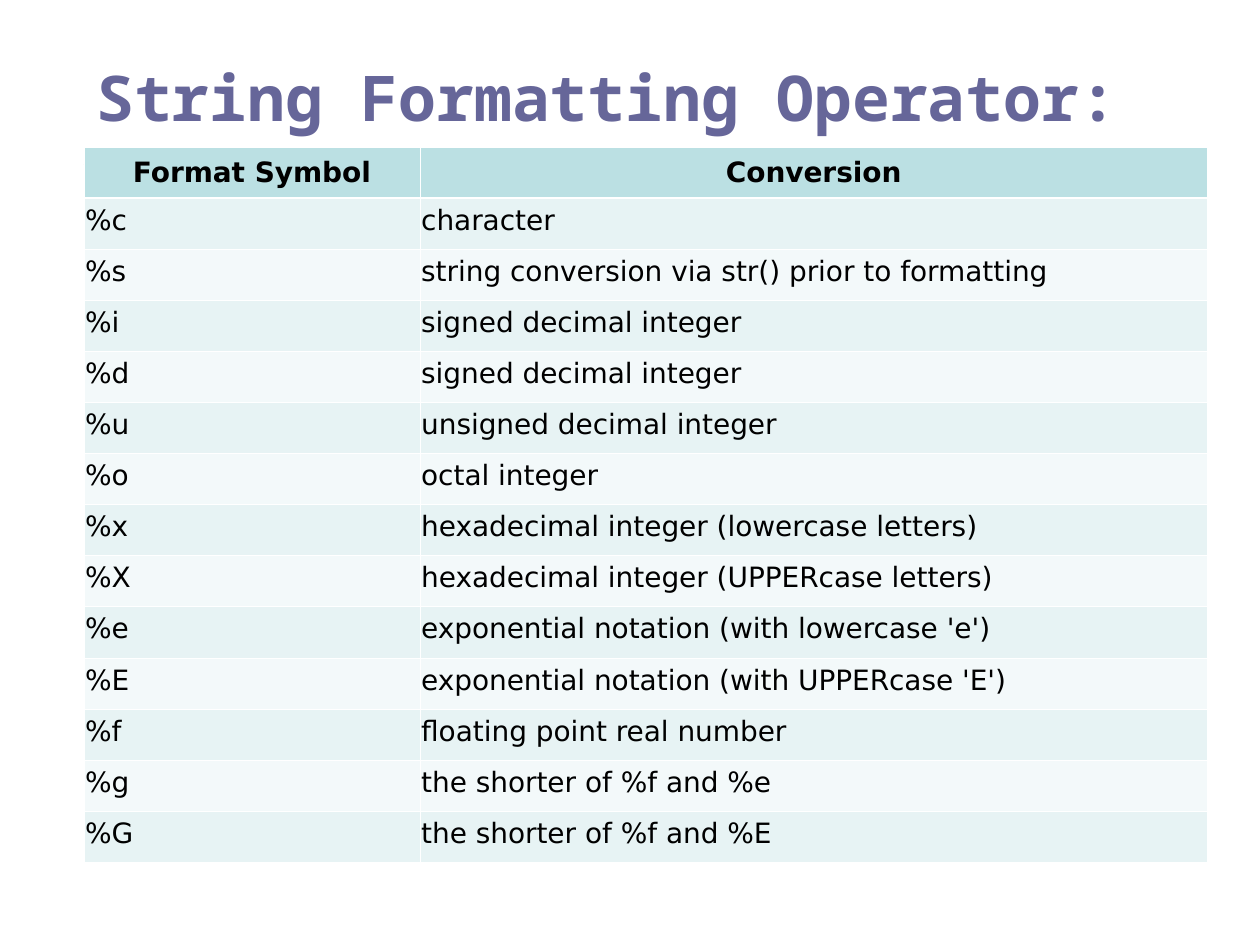
from lxml.etree import SubElement
from pptx import Presentation
from pptx.dml.color import RGBColor as Rgb
from pptx.enum.shapes import MSO_CONNECTOR as Link
from pptx.enum.text import MSO_ANCHOR as Anchor, PP_ALIGN as Align
from pptx.oxml.ns import qn
from pptx.util import Inches, Pt

# Colours
BLACK = Rgb(0x00, 0x00, 0x00)
WHITE = Rgb(0xFF, 0xFF, 0xFF)
VIOLET = Rgb(0x66, 0x66, 0x99)
RUST = Rgb(0x99, 0x33, 0x00)
TEAL = Rgb(0xBB, 0xE0, 0xE3)
BANDS = (Rgb(0xE7, 0xF3, 0xF4), Rgb(0xF3, 0xF9, 0xFA))

# Page frame
LEFT = 2 / 3
COLS = (8 / 3, 6.25)
WIDE = sum(COLS)

HEAD = ("Format Symbol", "Conversion")
CODES = [
    ("%c", "character"),
    ("%s", "string conversion via str() prior to formatting"),
    ("%i", "signed decimal integer"),
    ("%d", "signed decimal integer"),
    ("%u", "unsigned decimal integer"),
    ("%o", "octal integer"),
    ("%x", "hexadecimal integer (lowercase letters)"),
    ("%X", "hexadecimal integer (UPPERcase letters)"),
    ("%e", "exponential notation (with lowercase 'e')"),
    ("%E", "exponential notation (with UPPERcase 'E')"),
    ("%f", "floating point real number"),
    ("%g", "the shorter of %f and %e"),
    ("%G", "the shorter of %f and %E"),
]


class Deck:
    title_font = "Noto Sans Mono"
    body_font = "DejaVu Sans"
    thin, thick = 0.45, 1.47

    def __init__(self, wide, high):
        self.prs = Presentation()
        self.prs.slide_width = Inches(wide)
        self.prs.slide_height = Inches(high)
        self.slide = self.prs.slides.add_slide(self.prs.slide_layouts[6])

    def run(self, para, text, font, size, color, bold=False):
        run = para.add_run()
        run.text = text
        run.font.name = font
        run.font.size = Pt(size)
        run.font.bold = bold
        run.font.color.rgb = color

    def rule(self, left, top, wide, color, width):
        line = self.slide.shapes.add_connector(
            Link.STRAIGHT, Inches(left), Inches(top),
            Inches(left + wide), Inches(top))
        line.line.color.rgb = color
        line.line.width = Pt(width)
        SubElement(line._element.spPr, qn("a:effectLst"))

    def title(self, text, *box):
        frame = self.slide.shapes.add_textbox(*map(Inches, box)).text_frame
        frame.word_wrap = True
        frame.vertical_anchor = Anchor.TOP
        self.run(frame.paragraphs[0], text, self.title_font, 36, VIOLET, True)

    def border(self, cell, side, width):
        props = cell._tc.get_or_add_tcPr()
        line = SubElement(props, qn("a:ln" + side), w=str(Pt(width)))
        fill = SubElement(line, qn("a:solidFill"))
        SubElement(fill, qn("a:srgbClr"), val=str(WHITE))

    def cell(self, cell, text, row):
        head = row == 0
        # Borders come before the fill in the cell properties
        for side in "LRTB":
            heavy = (side == "B" and head) or (side == "T" and row == 1)
            self.border(cell, side, self.thick if heavy else self.thin)
        cell.fill.solid()
        cell.fill.fore_color.rgb = TEAL if head else BANDS[(row - 1) % 2]
        cell.margin_left = cell.margin_right = Inches(0.01)
        cell.margin_top = cell.margin_bottom = Inches(0.05)
        cell.vertical_anchor = Anchor.MIDDLE if head else Anchor.TOP
        para = cell.text_frame.paragraphs[0]
        para.alignment = Align.CENTER if head else Align.LEFT
        self.run(para, text, self.body_font, 16, BLACK, head)

    def table(self, rows, left, top, widths, high):
        grid = self.slide.shapes.add_table(
            len(rows), len(widths), Inches(left), Inches(top),
            Inches(sum(widths)), Inches(high)).table
        for col, wide in zip(grid.columns, widths):
            col.width = Inches(wide)
        for r, texts in enumerate(rows):
            grid.rows[r].height = Inches(high / len(rows))
            for c, text in enumerate(texts):
                self.cell(grid.cell(r, c), text, r)


def main():
    deck = Deck(10, 7.5)
    # Rule behind the table head
    deck.rule(LEFT, 4 / 3, WIDE, RUST, 4.5)
    # Heading
    deck.title("String Formatting Operator:", LEFT, 5 / 12, WIDE, 1.25)
    # Format codes
    deck.table([HEAD, *CODES], LEFT, 7 / 6, COLS, 5.68)
    deck.prs.save("out.pptx")


if __name__ == "__main__":
    main()
